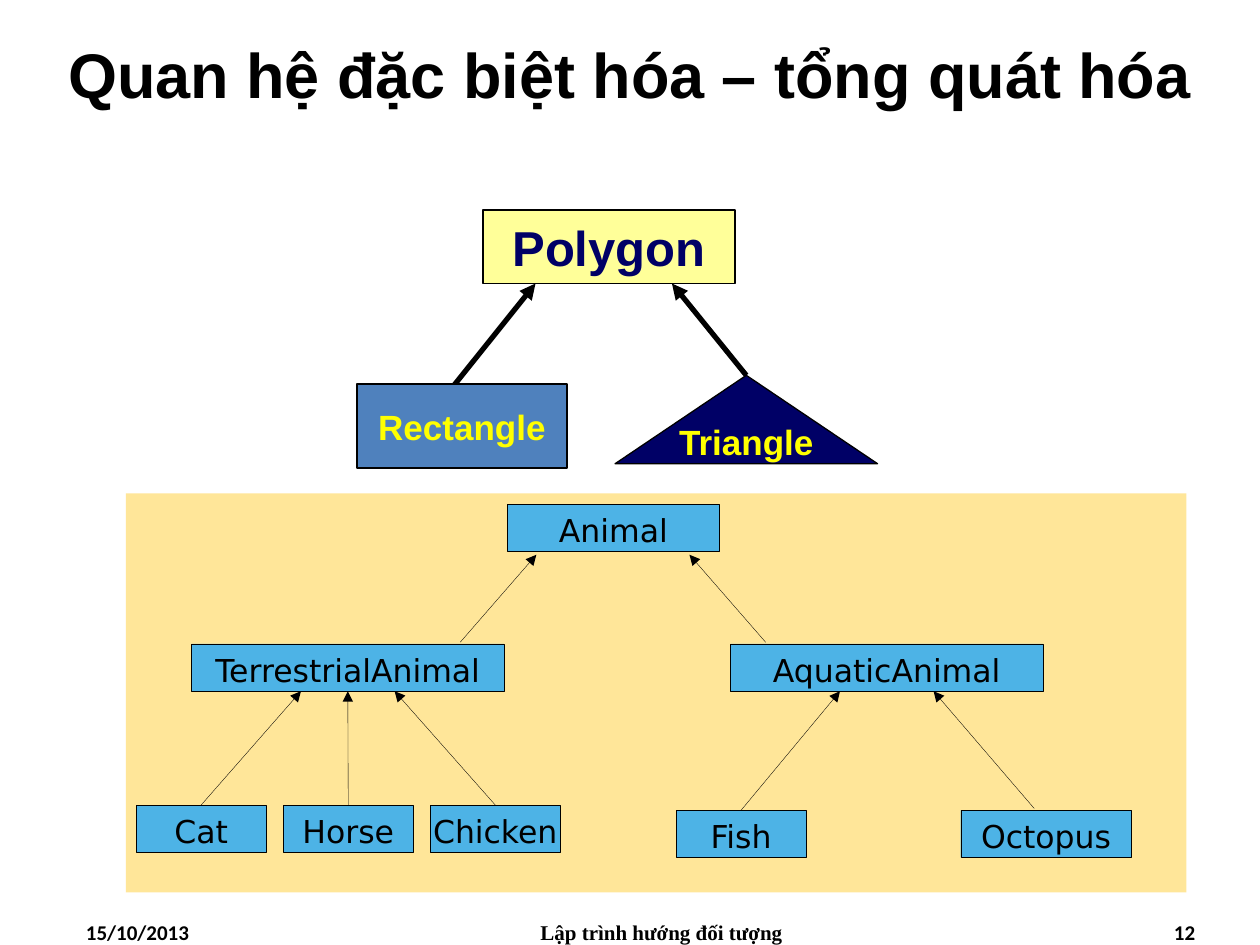
from lxml.etree import SubElement
from pptx import Presentation
from pptx.dml.color import RGBColor
from pptx.enum.shapes import MSO_CONNECTOR, MSO_SHAPE
from pptx.enum.text import MSO_ANCHOR, PP_ALIGN
from pptx.oxml.ns import qn
from pptx.util import Pt

COLORS = {
    "black": "000000",
    "navy": "000066",
    "yellow": "FFFF00",
    "pale_yellow": "FFFF99",
    "blue": "4F81BD",
    "sky": "4DB3E6",
    "sand": "FFE699",
}
TOP = 0  # connection site at the middle of the top side
BOTTOM = 2  # connection site at the middle of the bottom side


def rgb(name):
    return RGBColor.from_string(COLORS[name])


def write(sp, text, size, font, color="black", bold=False, align=PP_ALIGN.CENTER):
    tf = sp.text_frame
    tf.text = text
    p = tf.paragraphs[0]
    p.alignment = align
    r = p.runs[0]
    r.font.size = Pt(size)
    r.font.name = font
    r.font.bold = bold
    r.font.color.rgb = rgb(color)
    return tf


def add_text(s, box, text, size, font, align=PP_ALIGN.CENTER, anchor=MSO_ANCHOR.TOP):
    sp = s.shapes.add_textbox(*map(Pt, box))
    tf = write(sp, text, size, font, bold=True, align=align)
    tf.word_wrap = True
    tf.vertical_anchor = anchor


def add_block(s, kind, box, fill, line_width=None):
    sp = s.shapes.add_shape(kind, *map(Pt, box))
    sp.shadow.inherit = False
    sp.fill.solid()
    sp.fill.fore_color.rgb = rgb(fill)
    if line_width is None:
        sp.line.fill.background()
    else:
        sp.line.color.rgb = rgb("black")
        sp.line.width = Pt(line_width)
    return sp


def add_figure(s, kind, box, text, size, fill, color):
    sp = add_block(s, kind, box, fill, 0.75)
    tf = write(sp, text, size, "Arial", color, bold=True)
    tf.word_wrap = False
    tf.vertical_anchor = MSO_ANCHOR.MIDDLE
    return sp


def add_class(s, name, left, top, width):
    sp = add_block(s, MSO_SHAPE.RECTANGLE, (left, top, width, 27), "sky", 0.2)
    tf = write(sp, name, 18, "DejaVu Sans")
    tf.word_wrap = True
    tf.vertical_anchor = MSO_ANCHOR.TOP
    tf.margin_left = tf.margin_right = tf.margin_bottom = 0
    tf.margin_top = Pt(8)
    tf.paragraphs[0].line_spacing = 0.8
    return sp


def add_arrow(s, start, end, width, child=None, parent=None):
    """Arrow from a child to its parent, joined to the shapes that are given."""
    cn = s.shapes.add_connector(MSO_CONNECTOR.STRAIGHT, *map(Pt, start + end))
    cn.line.color.rgb = rgb("black")
    cn.line.width = Pt(width)
    SubElement(cn.line._get_or_add_ln(), qn("a:tailEnd"), type="triangle")
    SubElement(cn._element.spPr, qn("a:effectLst"))
    if child is not None:
        cn.begin_connect(child, TOP)
    if parent is not None:
        cn.end_connect(parent, BOTTOM)


def add_polygons(s):
    triangle = add_figure(s, MSO_SHAPE.ISOSCELES_TRIANGLE, (351.5, 214.5, 150, 50.5),
                          "Triangle", 20, "navy", "yellow")
    add_figure(s, MSO_SHAPE.RECTANGLE, (276, 120, 144, 42),
               "Polygon", 28, "pale_yellow", "navy")
    add_arrow(s, (258, 222), (306, 162), 3)
    add_arrow(s, (426, 216), (384, 162), 3, child=triangle)
    add_figure(s, MSO_SHAPE.RECTANGLE, (204, 219.5, 120, 48),
               "Rectangle", 20, "blue", "yellow")


def add_animals(s):
    add_block(s, MSO_SHAPE.RECTANGLE, (72, 282, 606, 228), "sand")

    # Classes, from the root down
    add_class(s, "Animal", 290, 288, 121)
    terrestrial = add_class(s, "TerrestrialAnimal", 109.5, 368, 178.5)
    add_class(s, "AquaticAnimal", 417.5, 368, 178.5)
    cat, horse, chicken = [add_class(s, name, 78 + 84 * i, 460, 74)
                           for i, name in enumerate(("Cat", "Horse", "Chicken"))]
    fish = add_class(s, "Fish", 386.5, 463, 74)
    add_class(s, "Octopus", 549, 463, 97.5)

    # Inheritance arrows
    add_arrow(s, (263, 367), (306.5, 317), 0.2)
    add_arrow(s, (437.5, 367), (394, 317), 0.2)
    add_arrow(s, (199, 460), (199, 395), 0.2, child=horse, parent=terrestrial)
    for child, start, end in ((cat, 115, 172), (chicken, 283, 225.5),
                              (fish, 423, 480), (None, 591, 533.5)):
        add_arrow(s, (start, 462), (end, 395), 0.2, child=child)


def main():
    prs = Presentation()
    prs.slide_width, prs.slide_height = Pt(720), Pt(540)
    s = prs.slides.add_slide(prs.slide_layouts[6])

    # Title
    add_text(s, (0, 0, 720, 84), "Quan hệ đặc biệt hóa – tổng quát hóa", 36, "Arial",
             anchor=MSO_ANCHOR.MIDDLE)

    # Diagrams
    add_polygons(s)
    add_animals(s)

    # Footer
    add_text(s, (42, 522, 168, 18), "15/10/2013", 12, "Calibri", PP_ALIGN.LEFT)
    add_text(s, (264, 522, 228, 18), "Lập trình hướng đối tượng", 12, "Times New Roman")
    add_text(s, (522, 522, 168, 18), "12", 12, "Calibri", PP_ALIGN.RIGHT)

    prs.save("out.pptx")


if __name__ == "__main__":
    main()
